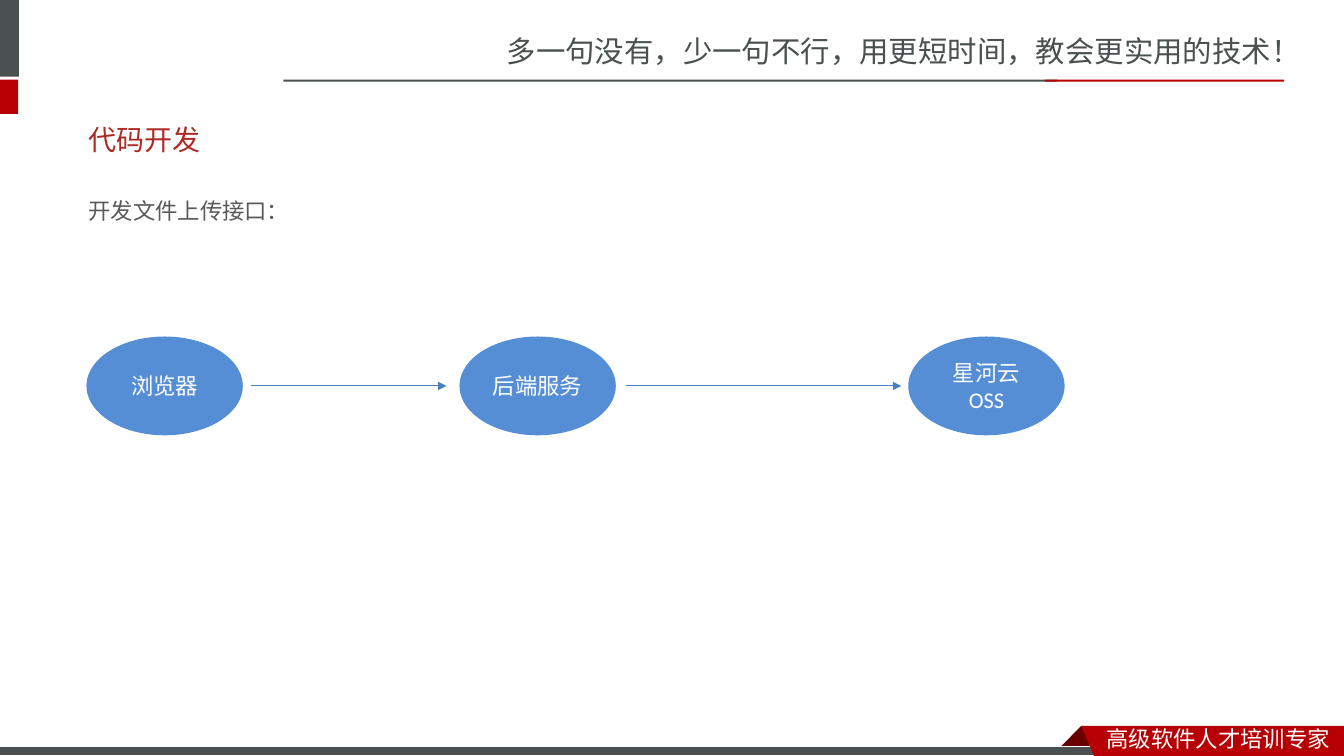
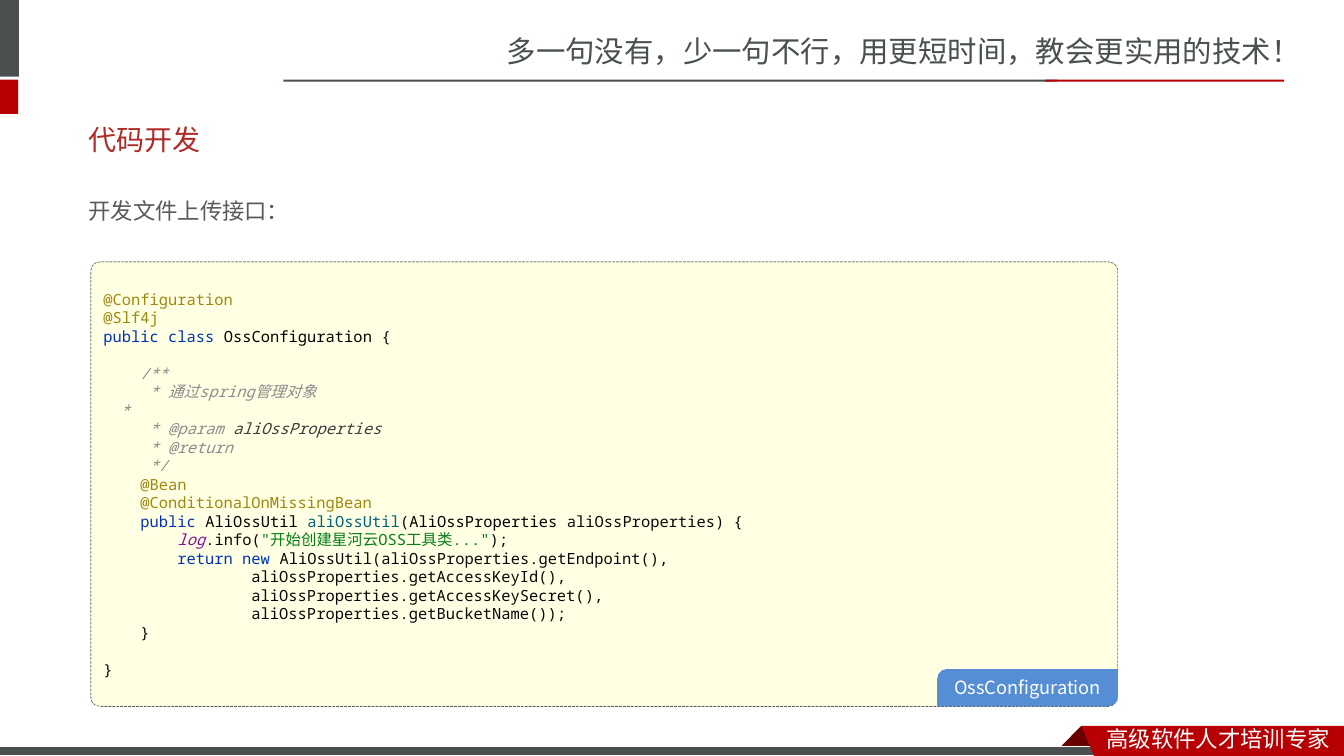
from lxml import etree
from pptx import Presentation
from pptx.dml.color import RGBColor
from pptx.enum.dml import MSO_LINE
from pptx.enum.shapes import MSO_CONNECTOR, MSO_SHAPE
from pptx.enum.text import MSO_ANCHOR, PP_ALIGN
from pptx.oxml.ns import qn
from pptx.util import Cm, Pt

RECT, OVAL = MSO_SHAPE.RECTANGLE, MSO_SHAPE.OVAL
ROUND, TAG = MSO_SHAPE.ROUNDED_RECTANGLE, MSO_SHAPE.ROUND_2_DIAG_RECTANGLE
LEFT, CENTER, MIDDLE = PP_ALIGN.LEFT, PP_ALIGN.CENTER, MSO_ANCHOR.MIDDLE

SC, JP, MONO = "Noto Sans CJK SC", "Noto Sans CJK JP", "Noto Sans Mono"
COLORS = {
    "gray": "49504F", "red": "B60004", "fold": "680000", "white": "FFFFFF",
    "title": "AD2A26", "body": "595959", "blue": "558ED5", "arrow": "4B7EBC",
    "paper": "FFFFE4", "black": "000000",
    "note": "9E880D", "key": "0033B3", "type": "000000", "code": "080808",
    "doc": "8C8C8C", "param": "3D3D3D", "method": "00627A",
    "field": "871094", "text": "067D17",
}
ITALIC = {"doc", "param", "field"}

# Shared frame, in centimetres
SLOGAN = "多一句没有，少一句不行，用更短时间，教会更实用的技术！"
RIBBON_TEXT = "高级软件人才培训专家"
BARS = [
    ("gray", (0, 0, 0.48, 1.93)),
    ("red", (0, 2.01, 0.46, 0.86)),
    ("gray", (7.14, 2.01, 19.51, 0.05)),
    ("red", (26.34, 2.01, 6.02, 0.05)),
]
FOLD = [(27.25, 18.29), (27.81, 18.85), (27.79, 18.87), (26.72, 18.87), (26.7, 18.85)]
RIBBON = [(27.25, 18.29), (33.87, 18.29), (33.87, 19.05), (27.57, 19.05)]
FOOT_BAR = (0, 18.82, 27.92, 0.23)

TITLE, BODY = "代码开发", "开发文件上传接口："

NODES = [("浏览器", 2.18), ("后端服务", 11.58), ("星河云OSS", 22.89)]
NODE_TOP, NODE_W, NODE_H = 8.48, 3.94, 2.49
ARROWS = [(6.32, 11.25), (15.77, 22.71)]

CODE_BOX = (2.29, 6.6, 25.88, 11.2)
CODE_LABEL, LABEL_W, LABEL_H = "OssConfiguration", 4.55, 0.94
LINE_PITCH = Pt(13.2)
# One list per code line, each part a (colour, text) pair; an empty list is a gap
CODE = [
    [("note", "@Configuration")],
    [("note", "@Slf4j")],
    [("key", "public class "), ("type", "OssConfiguration "), ("code", "{")],
    [],
    [("doc", "    /**")],
    [("doc", "     * 通过spring管理对象")],
    [("doc", "     ", SC), ("doc", "*")],
    [("doc", "     * @param "), ("param", "aliOssProperties")],
    [("doc", "     * @return")],
    [("doc", "     */")],
    [("note", "    @Bean")],
    [("note", "    @ConditionalOnMissingBean")],
    [("key", "    public "), ("type", "AliOssUtil "), ("method", "aliOssUtil"),
     ("code", "("), ("type", "AliOssProperties "), ("code", "aliOssProperties) {")],
    [("field", "        log"), ("code", ".info("),
     ("text", "\"开始创建星河云OSS工具类...\""), ("code", ");")],
    [("key", "        return new "),
     ("code", "AliOssUtil(aliOssProperties.getEndpoint(),")],
    [("code", "                aliOssProperties.getAccessKeyId(),")],
    [("code", "                aliOssProperties.getAccessKeySecret(),")],
    [("code", "                aliOssProperties.getBucketName());")],
    [("code", "    }")],
    [],
    [("code", "}")],
]


def rgb(name):
    return RGBColor.from_string(COLORS[name])


def style_run(r, size, font, color, italic=False):
    """Format a run, giving Chinese characters a CJK font as well."""
    r.font.size, r.font.name, r.font.italic = Pt(size), font, italic
    r.font.color.rgb = rgb(color)
    ea = etree.SubElement(r.font._element, qn("a:ea"))
    ea.set("typeface", font if "CJK" in font else SC)


def set_text(sp, text, size, font, color, align=LEFT):
    tf = sp.text_frame
    tf.text, tf.word_wrap = text, True
    p = tf.paragraphs[0]
    p.alignment = align
    style_run(p.runs[0], size, font, color)
    return p


def paint(sp, fill):
    sp.shadow.inherit = False
    sp.fill.solid()
    sp.fill.fore_color.rgb = rgb(fill)
    sp.line.fill.background()
    return sp


def add_shape(slide, kind, box, fill):
    return paint(slide.shapes.add_shape(kind, *map(Cm, box)), fill)


def add_outline(slide, points, fill):
    start, *rest = [(Cm(x), Cm(y)) for x, y in points]
    builder = slide.shapes.build_freeform(*start, scale=1.0)
    builder.add_line_segments(rest, close=True)
    return paint(builder.convert_to_shape(), fill)


def add_label(slide, box, *text_style):
    sp = slide.shapes.add_textbox(*map(Cm, box))
    return set_text(sp, *text_style)


def add_arrow(slide, x1, x2, y):
    line = slide.shapes.add_connector(
        MSO_CONNECTOR.STRAIGHT, Cm(x1), Cm(y), Cm(x2), Cm(y))
    line.line.color.rgb = rgb("arrow")
    line.line.width = Pt(0.75)
    props = line.element.spPr
    etree.SubElement(props.find(qn("a:ln")), qn("a:tailEnd")).set("type", "triangle")
    etree.SubElement(props, qn("a:effectLst"))


def build_frame(slide, layout):
    """Draw the shared frame, then move it to the layout."""
    own = {sp.shape_id for sp in slide.shapes}
    add_label(slide, (12.52, 0.71, 21.36, 1.19), SLOGAN, 21, SC, "gray")
    for color, box in BARS:
        add_shape(slide, RECT, box, color)
    add_outline(slide, FOLD, "fold")
    foot = add_shape(slide, RECT, FOOT_BAR, "gray")
    foot.line.color.rgb = rgb("white")
    foot.line.width = Pt(0.75)
    add_outline(slide, RIBBON, "red")
    add_label(slide, (27.64, 18.16, 6.22, 0.94), RIBBON_TEXT, 16, SC, "white")
    for sp in list(slide.shapes):
        if sp.shape_id not in own:
            layout.shapes.element.append(sp.element)


def prepare_layout(layout):
    """Keep only the title placeholder and put it in place."""
    for ph in list(layout.placeholders):
        if ph.placeholder_format.idx:
            ph.element.getparent().remove(ph.element)
        else:
            ph.left, ph.top, ph.width, ph.height = map(Cm, (1.98, 2.79, 29.72, 1.45))


def add_headings(slide):
    set_text(slide.shapes.title, TITLE, 20, "Lato", "title")
    slide.shapes.title.text_frame.vertical_anchor = MIDDLE
    p = add_label(slide, (1.98, 4.5, 25.68, 1.17), BODY, 16, JP, "body")
    p.line_spacing = 1.5


def add_flow(slide):
    for text, left in NODES:
        node = add_shape(slide, OVAL, (left, NODE_TOP, NODE_W, NODE_H), "blue")
        set_text(node, text, 16, "Calibri", "white", CENTER)
    for x1, x2 in ARROWS:
        add_arrow(slide, x1, x2, NODE_TOP + NODE_H / 2)


def add_code(slide):
    box = add_shape(slide, ROUND, CODE_BOX, "paper")
    box.adjustments[0] = 0.02
    box.line.color.rgb = rgb("black")
    box.line.width = Pt(0.25)
    box.line.dash_style = MSO_LINE.LONG_DASH
    tf = box.text_frame
    tf.word_wrap, tf.vertical_anchor = True, MIDDLE
    p, gap = tf.paragraphs[0], 0
    for number, parts in enumerate(CODE):
        if not parts:
            gap = LINE_PITCH
            continue
        if number:
            p = tf.add_paragraph()
        p.alignment, p.line_spacing, p.space_before = LEFT, LINE_PITCH, gap
        gap = 0
        for color, text, *font in parts:
            r = p.add_run()
            r.text = text
            style_run(r, 11, font[0] if font else MONO, color, color in ITALIC)


def add_code_label(slide):
    left, top, width, height = CODE_BOX
    corner = (left + width - LABEL_W, top + height - LABEL_H, LABEL_W, LABEL_H)
    label = add_shape(slide, TAG, corner, "blue")
    label.adjustments[0] = 0.26
    tf = label.text_frame
    tf.margin_left = tf.margin_right = tf.margin_top = tf.margin_bottom = 0
    set_text(label, CODE_LABEL, 13, JP, "white", CENTER)


def main():
    prs = Presentation()
    prs.slide_width, prs.slide_height = Cm(33.87), Cm(19.05)
    layout = prs.slide_layouts[5]
    prepare_layout(layout)
    flow, code = [prs.slides.add_slide(layout) for _ in range(2)]
    build_frame(flow, layout)
    for slide in (flow, code):
        add_headings(slide)
    add_flow(flow)
    add_code(code)
    add_code_label(code)
    prs.save("out.pptx")


if __name__ == "__main__":
    main()
